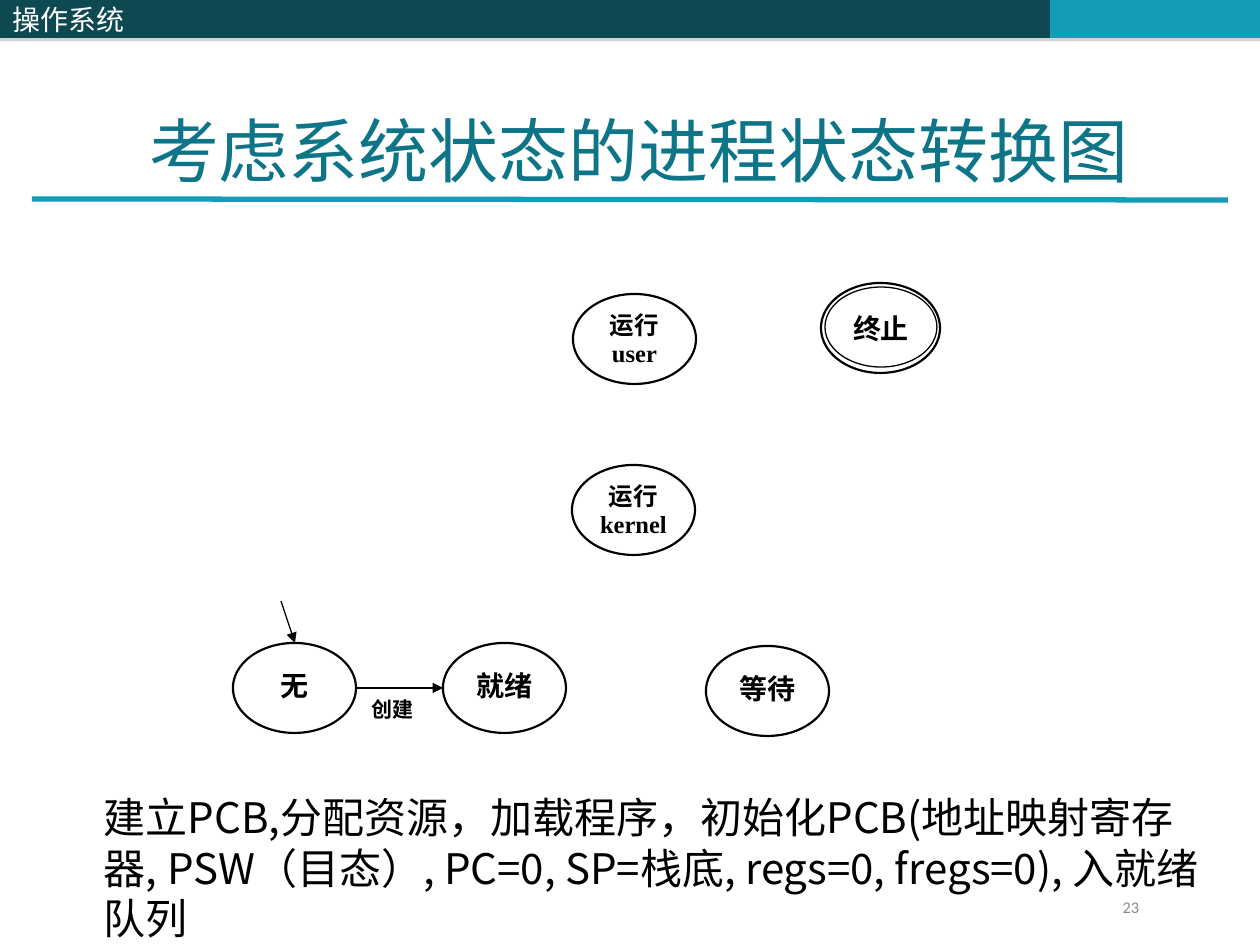
from lxml import etree
from pptx import Presentation
from pptx.dml.color import RGBColor
from pptx.enum.shapes import MSO_CONNECTOR as CONN, MSO_SHAPE as SHAPE
from pptx.enum.text import MSO_ANCHOR as ANCHOR, MSO_AUTO_SIZE as AUTO, PP_ALIGN as ALIGN
from pptx.oxml.ns import qn
from pptx.util import Pt

PX = 914400 / 126
INSET = (13, 6, 13, 6)
TIMES = "Times New Roman"
NOTO = "Noto Sans CJK SC"


def rgb(value):
    return RGBColor.from_string(value)


def write(sp, lines, size, color="000000", name=TIMES, bold=False,
          align=ALIGN.LEFT, spacing=None, inset=INSET, anchor=ANCHOR.TOP):
    tf = sp.text_frame
    sides = ("margin_left", "margin_top", "margin_right", "margin_bottom")
    frame = dict(zip(sides, (round(v * PX) for v in inset)))
    frame.update(word_wrap=True, auto_size=AUTO.NONE, vertical_anchor=anchor)
    for key, value in frame.items():
        setattr(tf, key, value)
    for i, line in enumerate(lines):
        p = tf.paragraphs[0] if i == 0 else tf.add_paragraph()
        p.alignment = align
        if spacing:
            p.line_spacing = spacing
        r = p.add_run()
        r.text = line
        for key, value in {"size": Pt(size), "name": name, "bold": bold}.items():
            setattr(r.font, key, value)
        r.font.color.rgb = rgb(color)


prs = Presentation()
prs.slide_width, prs.slide_height = round(1260 * PX), round(945 * PX)
s = prs.slides.add_slide(prs.slide_layouts[5])

bars = [
    (514, 536, "0E4851", None),
    (1050, 210, "139CB7", None),
    (0, 514, "0E4851", "操作系统"),
]
for x, w, color, text in bars:
    sp = s.shapes.add_shape(SHAPE.RECTANGLE, *(round(v * PX) for v in (x, 0, w, 38)))
    sp.fill.solid()
    sp.fill.fore_color.rgb = rgb(color)
    sp.line.fill.background()
    effects = etree.SubElement(sp._element.spPr, qn("a:effectLst"))
    shadow = etree.SubElement(effects, qn("a:outerShdw"), blurRad="0", dist=str(Pt(1.8)),
                              dir="5400000", algn="ctr", rotWithShape="0")
    tint = etree.SubElement(shadow, qn("a:srgbClr"), val="808080")
    etree.SubElement(tint, qn("a:alpha"), val="35000")
    if text:
        write(sp, [text], 16, "FFFFFF", NOTO, anchor=ANCHOR.MIDDLE)

title = s.shapes.title
for key, value in {"left": 136, "top": 102, "width": 1036, "height": 97}.items():
    setattr(title, key, round(value * PX))
write(title, ["考虑系统状态的进程状态转换图"], 40, "0E7589")

two_line = {"size": 14, "inset": (5, 5, 5, 5)}
one_line = {"size": 16, "inset": (5, 15, 5, 10)}
states = [
    (573, 294, 123, 90, 1.25, ["运行", "user"], two_line),
    (572, 465, 123, 90, 1.25, ["运行", "kernel"], two_line),
    (706, 646, 123, 90, 1.25, ["等待"], one_line),
    (443, 643, 123, 90, 1.25, ["就绪"], one_line),
    (233, 643, 123, 90, 1.25, ["无"], one_line),
    (825, 287, 112, 80, 0.75, ["终止"], one_line),
    (821, 283, 119, 90, 1.25, [], {}),
]
for x, y, w, h, weight, lines, style in states:
    sp = s.shapes.add_shape(SHAPE.OVAL, *(round(v * PX) for v in (x, y, w, h)))
    sp.shadow.inherit = False
    sp.line.color.rgb = rgb("000000")
    sp.line.width = Pt(weight)
    if lines:
        sp.fill.solid()
        sp.fill.fore_color.rgb = rgb("FFFFFF")
        write(sp, lines, bold=True, align=ALIGN.CENTER, spacing=0.96, **style)
    else:
        sp.fill.background()

links = [
    (32, 199, 1228, 200, "139CB7", 3, False),
    (356, 688, 443, 688, "000000", 0.75, True),
    (281, 601, 295, 643, "000000", 0.75, True),
]
for x1, y1, x2, y2, color, weight, arrow in links:
    cn = s.shapes.add_connector(CONN.STRAIGHT, *(round(v * PX) for v in (x1, y1, x2, y2)))
    cn.line.color.rgb = rgb(color)
    cn.line.width = Pt(weight)
    if arrow:
        etree.SubElement(cn.line._get_or_add_ln(), qn("a:tailEnd"), type="triangle")
    etree.SubElement(cn._element.spPr, qn("a:effectLst"))

label = s.shapes.add_shape(SHAPE.RECTANGLE, *(round(v * PX) for v in (369, 696, 61, 41)))
label.shadow.inherit = False
label.fill.solid()
label.fill.fore_color.rgb = rgb("FFFFFF")
label.line.color.rgb = rgb("FFFFFF")
label.line.width = Pt(0.75)
write(label, ["创建"], 12, bold=True, align=ALIGN.JUSTIFY, inset=(3, 1, 3, 1))

body = "建立PCB,分配资源，加载程序，初始化PCB(地址映射寄存器, PSW（目态）, PC=0, SP=栈底, regs=0, fregs=0), 入就绪队列"
notes = [
    (91, 786, 1129, 164, body, {"size": 24, "name": NOTO}),
    (945, 895, 294, 34, "23", {"size": 9.3, "color": "898989", "name": "Calibri", "spacing": 0.8,
                               "align": ALIGN.RIGHT, "inset": (13, 6, 100, 6)}),
]
for x, y, w, h, text, style in notes:
    tb = s.shapes.add_textbox(*(round(v * PX) for v in (x, y, w, h)))
    write(tb, [text], **style)

prs.save("out.pptx")
